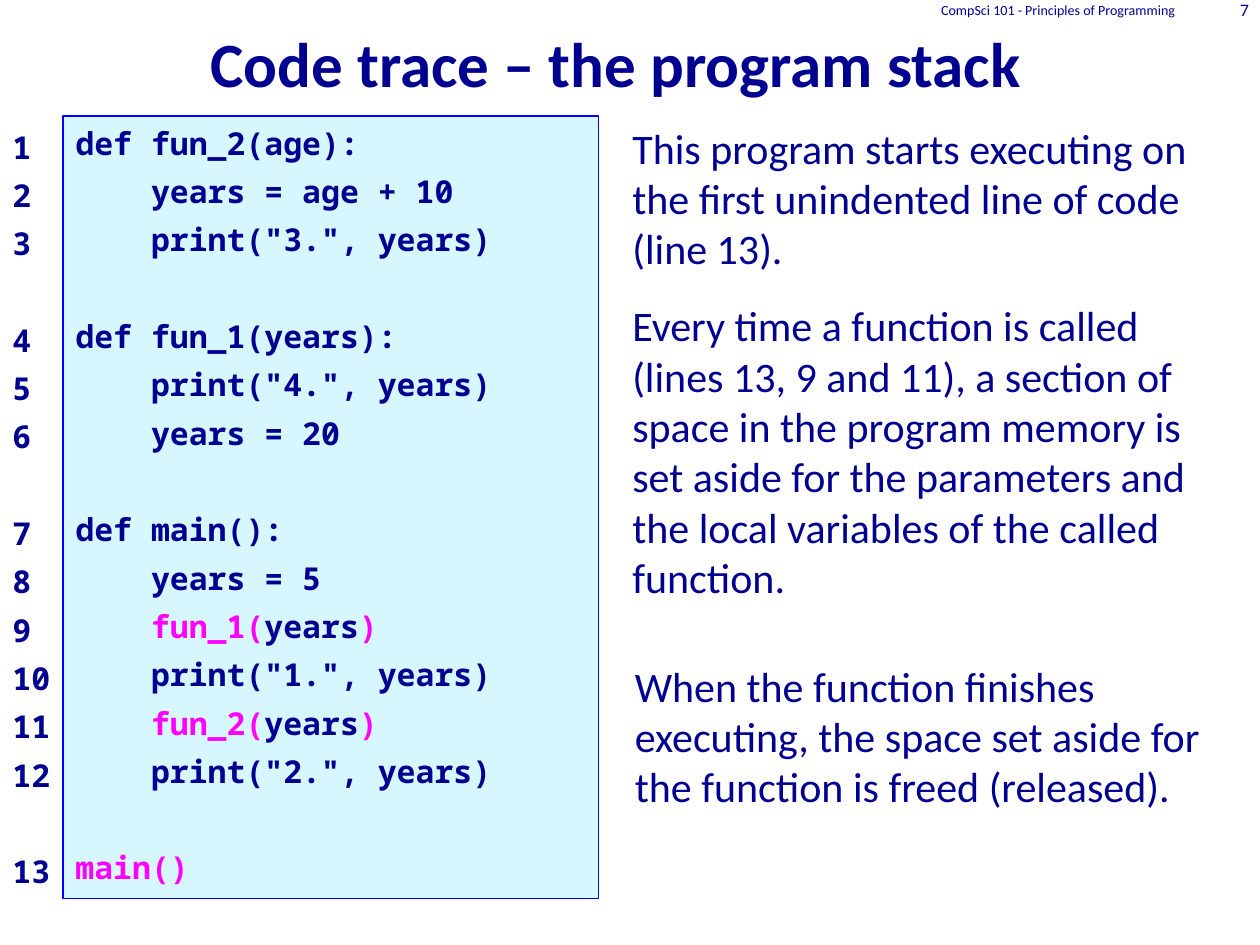
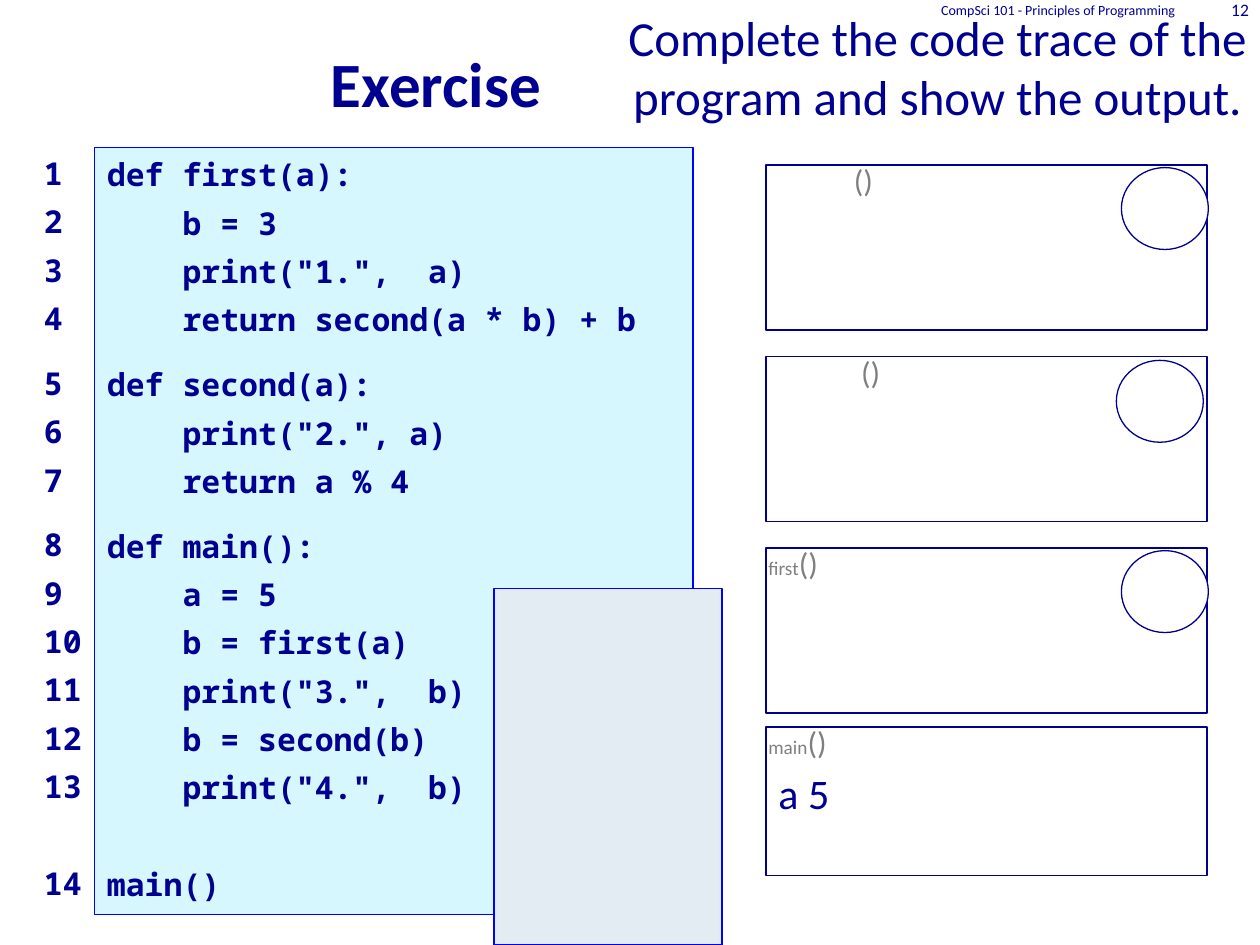
from lxml import etree
from pptx import Presentation
from pptx.dml.color import RGBColor
from pptx.enum.shapes import MSO_SHAPE
from pptx.enum.text import MSO_ANCHOR, PP_ALIGN
from pptx.oxml.ns import qn
from pptx.util import Pt

RECT, OVAL = MSO_SHAPE.RECTANGLE, MSO_SHAPE.OVAL
LEFT, CENTER, RIGHT = PP_ALIGN.LEFT, PP_ALIGN.CENTER, PP_ALIGN.RIGHT
TOP, MIDDLE, BOTTOM = MSO_ANCHOR.TOP, MSO_ANCHOR.MIDDLE, MSO_ANCHOR.BOTTOM

NAVY, BLUE, PINK, GRAY = "000090", "0000FF", "FF00FF", "7F7F7F"
WHITE, PALE_CYAN, PALE_GRAY = "FFFFFF", "D7F7FF", "E3EBF3"
BODY, MONO = "Calibri", "Noto Sans Mono"
INSETS = (7.2, 3.6, 7.2, 3.6)
LINE_GAP, SMALL_GAP, BLANK_GAP = 6, 15.5, 33.6


def rgb(value):
    return RGBColor.from_string(value)


class Deck:
    def __init__(self):
        self.prs = Presentation()
        self.prs.slide_width, self.prs.slide_height = Pt(720), Pt(540)
        self.s = None

    def slide(self, title, number, width, height):
        self.s = self.prs.slides.add_slide(self.prs.slide_layouts[6])
        self.text(0, -5.76, width, height, title, 36, bold=True,
                  align=CENTER, anchor=BOTTOM)
        for x, w, label, size in (
            (462.96, 216, "CompSci 101 - Principles of Programming", 8),
            (678.96, 41.76, str(number), 10),
        ):
            self.text(x, -0.72, w, 12.24, label, size, align=RIGHT,
                      anchor=MIDDLE, insets=(7.2, 0, 7.2, 0))

    def frame(self, tf, insets=INSETS, anchor=TOP):
        tf.word_wrap = True
        tf.vertical_anchor = anchor
        tf.margin_left, tf.margin_top, tf.margin_right, tf.margin_bottom = map(Pt, insets)

    def font(self, p, size, color=NAVY, name=BODY, bold=False):
        for font in (p.font, *(r.font for r in p.runs)):
            font.size, font.name, font.bold = Pt(size), name, bold
            font.color.rgb = rgb(color)

    def text(self, x, y, w, h, text, size, color=NAVY, bold=False,
             align=LEFT, anchor=TOP, insets=INSETS):
        tf = self.s.shapes.add_textbox(Pt(x), Pt(y), Pt(w), Pt(h)).text_frame
        self.frame(tf, insets, anchor)
        p = tf.paragraphs[0]
        p.alignment = align
        p.add_run().text = text
        self.font(p, size, color, bold=bold)
        return p

    def shape(self, kind, x, y, w, h, fill=None, line=NAVY):
        sp = self.s.shapes.add_shape(kind, Pt(x), Pt(y), Pt(w), Pt(h))
        sp.shadow.inherit = False
        if fill:
            sp.fill.solid()
            sp.fill.fore_color.rgb = rgb(fill)
        else:
            sp.fill.background()
        if line:
            sp.line.color.rgb = rgb(line)
            sp.line.width = Pt(0.75)
        else:
            sp.line.fill.background()
        return sp

    def listing(self, sp, lines, gaps, right_inset=7.2):
        tf = sp.text_frame
        self.frame(tf, (7.2, 4.5, right_inset, 3.6))
        for number, line in enumerate(lines, 1):
            p = tf.paragraphs[0] if number == 1 else tf.add_paragraph()
            p.alignment = LEFT
            p.line_spacing = Pt(21.6)
            if number > 1:
                p.space_before = Pt(gaps.get(number, LINE_GAP))
            tabs = etree.SubElement(p._p.get_or_add_pPr(), qn("a:tabLst"))
            etree.SubElement(tabs, qn("a:tab"), pos=str(Pt(43.2)), algn="l")
            parts = [(line, NAVY)] if isinstance(line, str) else line
            for part, _ in parts:
                p.add_run().text = part
            self.font(p, 18, name=MONO, bold=True)
            for r, (_, color) in zip(p.runs, parts):
                r.font.color.rgb = rgb(color)

    def code(self, x, y, w, h, numbers_y, lines, gaps):
        numbers = self.shape(RECT, x - 36, numbers_y, 36, h, WHITE, None)
        self.listing(numbers, [str(n + 1) for n in range(len(lines))], gaps, 0)
        self.listing(self.shape(RECT, x, y, w, h, PALE_CYAN, BLUE), lines, gaps)

    def stack_frame(self, y, h, name="", indent=0):
        sp = self.shape(RECT, 437.76, y, 252, h)
        p = self.text(432, y - 5.76, 144, 28.8, name or "()", 18, GRAY,
                      insets=(7.2 + indent, 3.6, 7.2, 3.6))
        if name:
            p.add_run().text = "()"
            self.font(p, 18, GRAY)
            p.runs[0].font.size = Pt(11)
        return sp


def call(name):
    return [(f"\t{name}(", PINK), ("years", NAVY), (")", PINK)]


def program_stack(deck):
    deck.slide("Code trace – the program stack", 7, 703.7, 66.24)
    lines = [
        "def fun_2(age):",
        "\tyears = age + 10",
        '\tprint("3.", years)',
        "def fun_1(years):",
        '\tprint("4.", years)',
        "\tyears = 20",
        "def main():",
        "\tyears = 5",
        call("fun_1"),
        '\tprint("1.", years)',
        call("fun_2"),
        '\tprint("2.", years)',
        [("main()", PINK)],
    ]
    deck.code(36, 66.24, 306, 447.12, 68.4, lines,
              dict.fromkeys((4, 7, 13), BLANK_GAP))
    for x, y, w, h, note in (
        (354.24, 66.24, 365.76, 94.32,
         "This program starts executing on the first unindented line of code (line 13)."),
        (354.24, 167.76, 360, 181.44,
         "Every time a function is called (lines 13, 9 and 11), a section of space in "
         "the program memory is set aside for the parameters and the local variables "
         "of the called function."),
        (355.68, 373.68, 360, 94.32,
         "When the function finishes executing, the space set aside for the function "
         "is freed (released)."),
    ):
        deck.text(x, y, w, h, note, 24)


def exercise(deck):
    deck.slide("Exercise", 12, 498.24, 77.76)
    deck.text(347.76, 0.72, 375.84, 74.88,
              "Complete the code trace of the program and show the output.", 28,
              align=CENTER)
    frames = (("", 48.8, 640.8, 1.44), ("", 52.9, 637.92, 2.16), ("first", 0, 640.8, 1.44))
    for i, (name, indent, circle_x, drop) in enumerate(frames):
        y = 94.32 + i * 109.44
        deck.stack_frame(y, 94.32, name, indent)
        deck.shape(OVAL, circle_x, y + drop, 49.68, 46.8, WHITE)

    tf = deck.stack_frame(415.44, 84.96, "main").text_frame
    deck.frame(tf, (7.2, 23.1, 7.2, 3.6))
    p = tf.paragraphs[0]
    p.alignment = LEFT
    p.add_run().text = "a 5"
    deck.font(p, 24)

    lines = [
        "def first(a):",
        "\tb = 3",
        '\tprint("1.",  a)',
        "\treturn second(a * b) + b",
        "def second(a):",
        '\tprint("2.", a)',
        "\treturn a % 4",
        "def main():",
        "\ta = 5",
        "\tb = first(a)",
        '\tprint("3.",  b)',
        "\tb = second(b)",
        '\tprint("4.",  b)',
        "main()",
    ]
    deck.code(54, 84.24, 342, 438.48, 83.52, lines,
              {5: SMALL_GAP, 8: SMALL_GAP, 14: BLANK_GAP})
    deck.shape(RECT, 282.24, 336.24, 130.32, 203.76, PALE_GRAY, BLUE)


def main():
    deck = Deck()
    program_stack(deck)
    exercise(deck)
    deck.prs.save("out.pptx")


if __name__ == "__main__":
    main()
